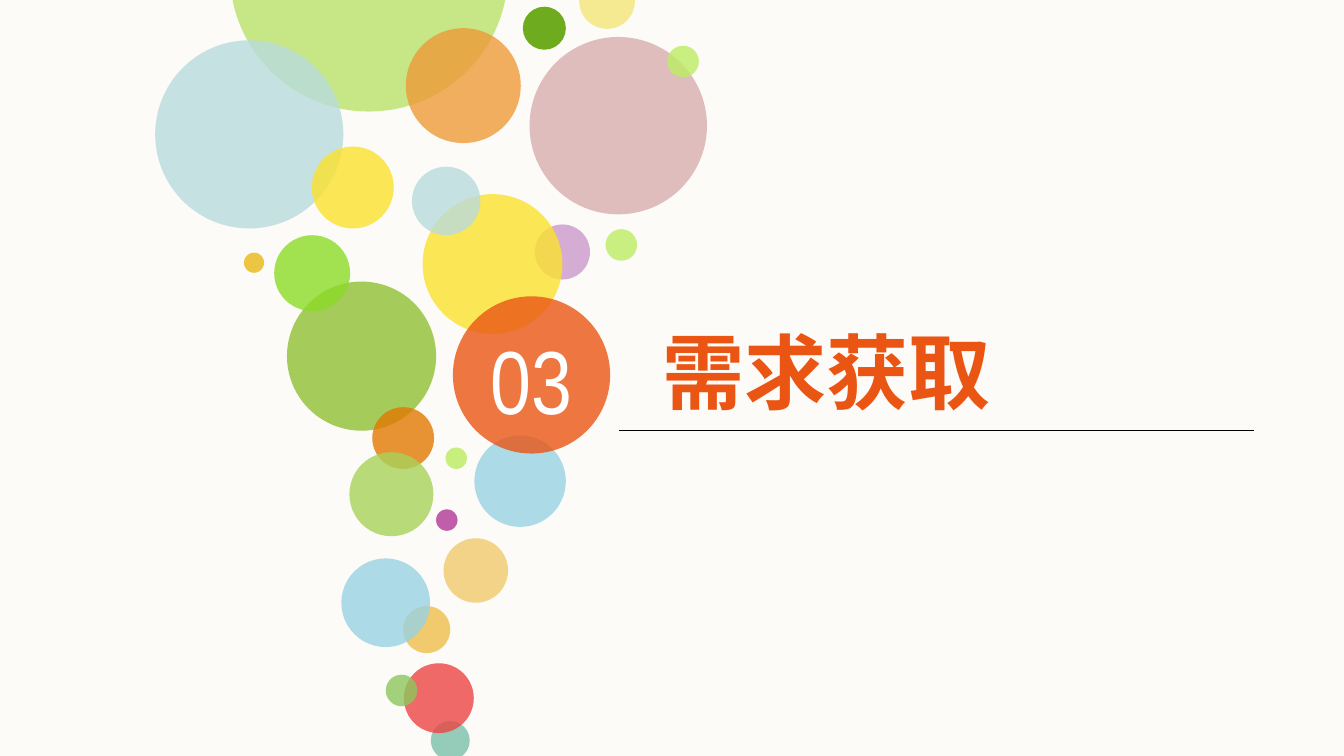
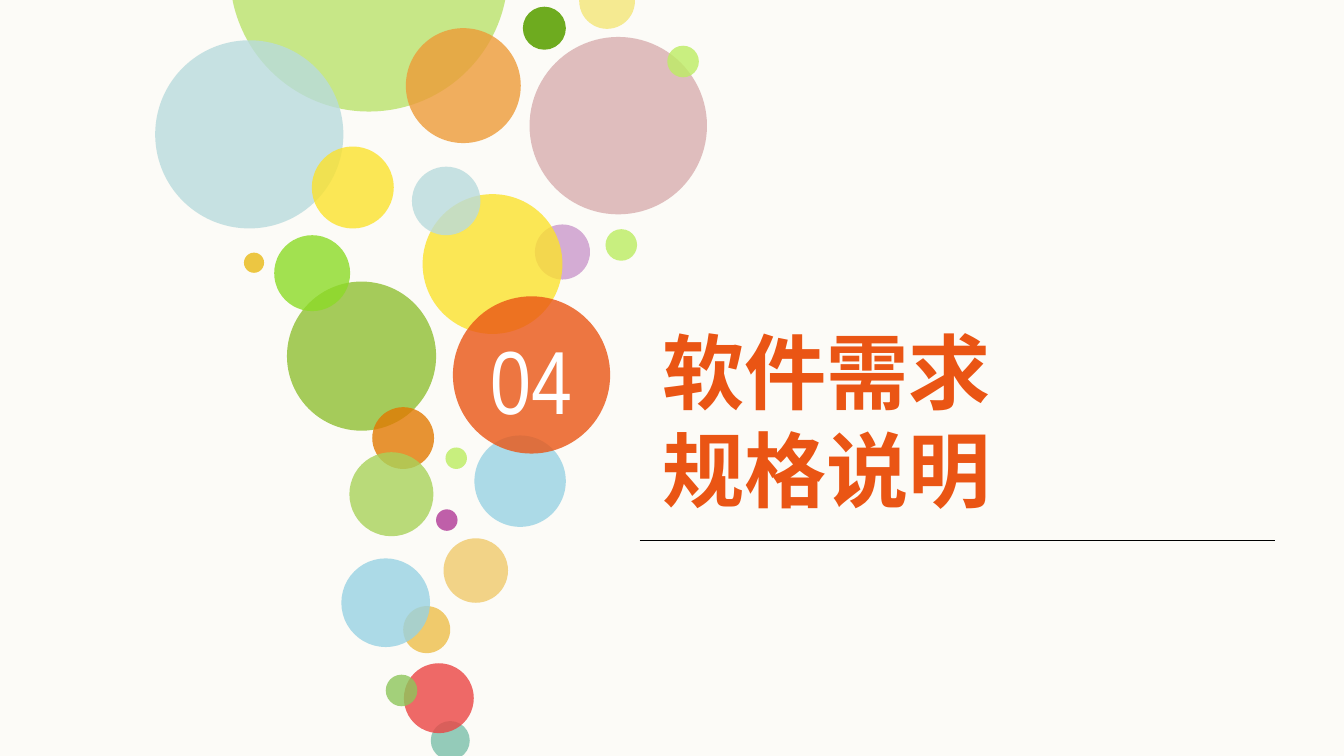
from dataclasses import dataclass

from lxml.etree import SubElement
from pptx import Presentation
from pptx.dml.color import RGBColor
from pptx.enum.shapes import MSO_CONNECTOR, MSO_SHAPE
from pptx.enum.text import MSO_ANCHOR, MSO_AUTO_SIZE, PP_ALIGN
from pptx.oxml.ns import qn
from pptx.util import Inches, Pt


@dataclass(frozen=True)
class Theme:
    paper: str = "FCFBF7"
    accent: str = "EA5514"
    white: str = "FFFFFF"
    rule: str = "000000"
    lime: str = "BCED61"
    yellow: str = "FBE22D"
    mist: str = "B9DBDD"
    sky: str = "98D2E3"
    sand: str = "F0CA6C"
    number_font: str = "Arial Narrow"
    title_font: str = "Noto Sans CJK SC"
    number_size: int = 48
    title_size: int = 44
    rule_width: float = 0.75
    bubble_alpha: int = 80


theme = Theme()

deck = Presentation()
deck.slide_width = Inches(10)
deck.slide_height = deck.slide_width * 9 // 16
column = deck.slide_width / 100  # square grid, 100 columns across


def grid(*cells):
    return [round(cell * column) for cell in cells]


def add_text(page, place, lines, align, formats):
    box = page.shapes.add_textbox(*grid(*place))
    frame = box.text_frame
    settings = {"word_wrap": True, "auto_size": MSO_AUTO_SIZE.SHAPE_TO_FIT_TEXT,
                "vertical_anchor": MSO_ANCHOR.TOP, "margin_left": 0,
                "margin_right": 0, "margin_top": 0, "margin_bottom": 0}
    for name, value in settings.items():
        setattr(frame, name, value)
    for index, line in enumerate(lines):
        para = frame.add_paragraph() if index else frame.paragraphs[0]
        para.alignment = align
        span = para.add_run()
        span.text = line
        span.font.color.rgb = RGBColor.from_string(formats["color"])
        for name, value in formats["font"].items():
            setattr(span.font, name, value)
        SubElement(span.font._element, qn("a:ea"), typeface=formats["font"]["name"])


# Bubbles from back to front: left, top, diameter (in columns), colour
bubbles = [
    (17.1, -12.4, 20.7, "BAE36B"),
    (38.9, 0.5, 3.2, "6EAB1F"),
    (11.55, 3, 14, theme.mist),
    (30.2, 2.1, 8.55, "ED9B38"),
    (43.1, -2, 4.15, "F5EA91"),
    (39.4, 2.75, 13.2, "D8AEAF"),
    (21.35, 20.95, 11.1, "A5CB5A"),
    (49.65, 3.4, 2.35, "BDED63"),
    (45.05, 17.05, 2.35, theme.lime),
    (39.8, 16.7, 4.1, "CB99CC"),
    (31.45, 14.45, 10.4, theme.yellow),
    (23.2, 10.9, 6.1, theme.yellow),
    (20.4, 17.5, 5.65, "8CDB27"),
    (18.15, 18.8, 1.5, "E9B915"),
    (33.15, 33.3, 1.6, "BCED60"),
    (32.45, 37.9, 1.6, "B03896"),
    (33, 40.05, 4.8, theme.sand),
    (30, 45.1, 3.5, theme.sand),
    (32.05, 53.65, 2.9, "7BBFAA"),
    (30.05, 49.35, 5.2, "EB4544"),
    (28.7, 50.2, 2.35, "8DC65B"),
    (25.4, 41.55, 6.6, theme.sky),
    (30.65, 12.4, 5.1, theme.mist),
    (35.3, 32.4, 6.8, theme.sky),
    (27.7, 30.3, 4.6, "E27902"),
    (26, 33.65, 6.25, "A9D25A"),
    (33.7, 22.05, 11.7, theme.accent),
]
opaque_bubbles = {1, 4, 6, 17}

# Section number, title lines, left end and height of the rule
sections = [
    ("03", ["需求获取"], 46.05, 32.05),
    ("04", ["软件需求", "规格说明"], 47.6, 40.2),
]
rule_length = 47.25
title_row = 7.4

number_format = {"color": theme.white, "font": {
    "size": Pt(theme.number_size), "name": theme.number_font}}
title_format = {"color": theme.accent, "font": {
    "size": Pt(theme.title_size), "name": theme.title_font, "bold": True}}

for number, title, rule_left, rule_top in sections:
    page = deck.slides.add_slide(deck.slide_layouts[6])
    page.background.fill.solid()
    page.background.fill.fore_color.rgb = RGBColor.from_string(theme.paper)

    # Column of bubbles
    for index, (left, top, size, color) in enumerate(bubbles):
        bubble = page.shapes.add_shape(MSO_SHAPE.OVAL, *grid(left, top, size, size))
        bubble.shadow.inherit = False
        bubble.line.fill.background()
        bubble.fill.solid()
        bubble.fill.fore_color.rgb = RGBColor.from_string(color)
        if index not in opaque_bubbles:
            tint = bubble._element.spPr.find(".//" + qn("a:srgbClr"))
            SubElement(tint, qn("a:alpha"), val=str(theme.bubble_alpha * 1000))

    # Section number and title
    add_text(page, (35.55, 24.2, 8, 8.1), [number], PP_ALIGN.CENTER, number_format)
    add_text(page, (49.3, 23.9, 33.8, title_row * len(title)), title,
             PP_ALIGN.JUSTIFY, title_format)

    # Rule under the title
    rule = page.shapes.add_connector(
        MSO_CONNECTOR.STRAIGHT,
        *grid(rule_left, rule_top, rule_left + rule_length, rule_top))
    rule.line.color.rgb = RGBColor.from_string(theme.rule)
    rule.line.width = Pt(theme.rule_width)
    SubElement(rule._element.spPr, qn("a:effectLst"))

deck.save("out.pptx")
